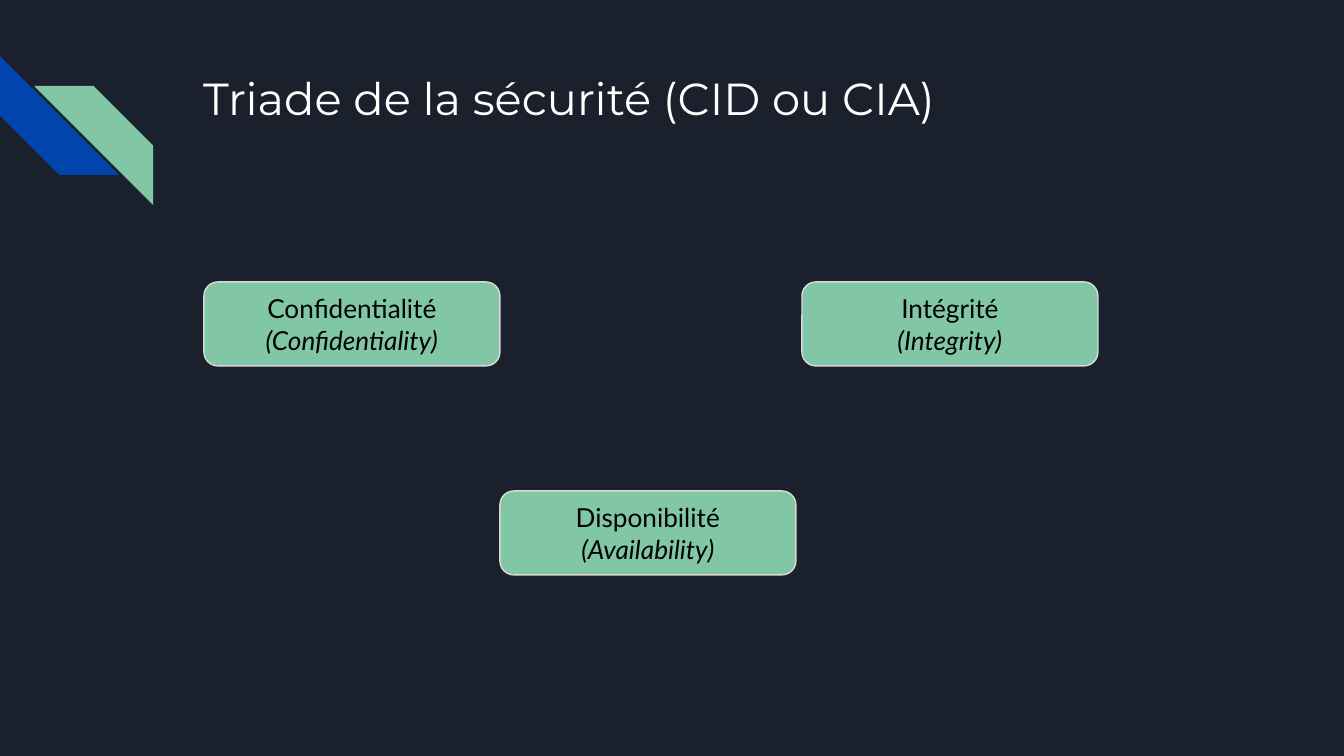
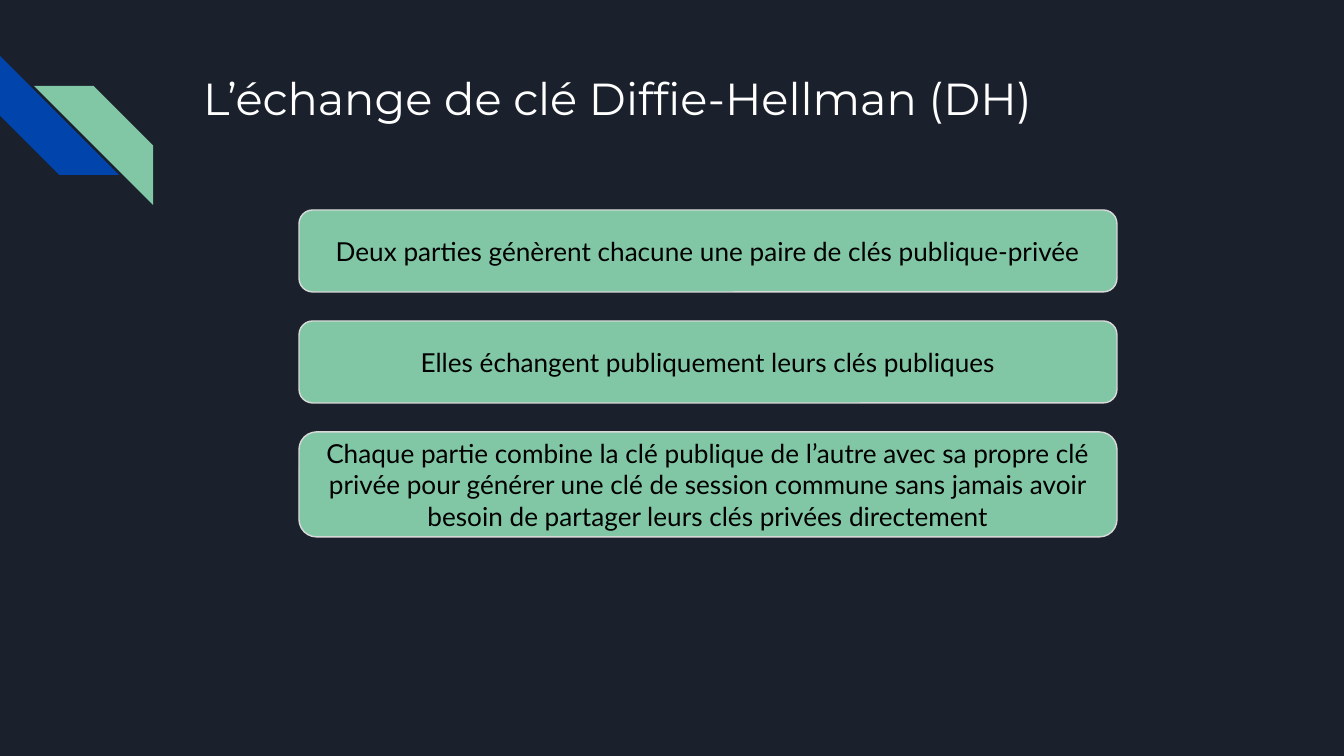
"""Two slides on the security triad and the Diffie-Hellman key exchange."""
from pptx import Presentation
from pptx.dml.color import RGBColor
from pptx.enum.shapes import MSO_SHAPE
from pptx.enum.text import MSO_ANCHOR, MSO_AUTO_SIZE, PP_ALIGN
from pptx.util import Emu, Pt

ROUND, STRIPE = MSO_SHAPE.ROUNDED_RECTANGLE, MSO_SHAPE.DIAGONAL_STRIPE
TOP, MIDDLE = MSO_ANCHOR.TOP, MSO_ANCHOR.MIDDLE
LEFT, CENTER = PP_ALIGN.LEFT, PP_ALIGN.CENTER
FIXED = MSO_AUTO_SIZE.NONE

NAVY = RGBColor(0x1B, 0x21, 0x2C)
BLUE = RGBColor(0x01, 0x45, 0xAC)
GREEN = RGBColor(0x82, 0xC7, 0xA5)
GRAY = RGBColor(0xD9, 0xD9, 0xD9)
WHITE = RGBColor(0xFF, 0xFF, 0xFF)
BLACK = RGBColor(0x00, 0x00, 0x00)

WIDTH, HEIGHT = 1344, 756
INSET = 13
TITLE = (190, 58, 1035, 134)
STRIPES = [(0, 56, 270, BLUE), (34, 86, 90, GREEN)]
TRIAD = [
    (0, 0, "Confidentialité", "(Confidentiality)"),
    (598, 0, "Intégrité", "(Integrity)"),
    (296, 209, "Disponibilité", "(Availability)"),
]
STEPS = [
    (82, "Deux parties génèrent chacune une paire de clés publique-privée"),
    (82, "Elles échangent publiquement leurs clés publiques"),
    (105, "Chaque partie combine la clé publique de l’autre avec sa propre clé "
          "privée pour générer une clé de session commune sans jamais avoir "
          "besoin de partager leurs clés privées directement"),
]


def px(count):
    """Turn pixels into EMU."""
    return Emu(round(count * 914400 / 134.4))


def set_text(shape, lines, font, size, color, align, anchor):
    """Fill a shape with paragraphs in one style."""
    frame = shape.text_frame
    frame.text = "\n".join(lines)
    frame.word_wrap = True
    frame.auto_size = FIXED
    frame.vertical_anchor = anchor
    frame.margin_left = frame.margin_right = px(INSET)
    frame.margin_top = frame.margin_bottom = px(INSET)
    for para in frame.paragraphs:
        para.alignment = align
        para.font.name, para.font.size = font, Pt(size)
        para.font.color.rgb = color


def add_form(slide, kind, box, fill):
    """Add a flat filled shape without an outline."""
    shape = slide.shapes.add_shape(kind, *map(px, box))
    shape.shadow.inherit = False
    shape.fill.solid()
    shape.fill.fore_color.rgb = fill
    shape.line.fill.background()
    return shape


def add_card(slide, box, *lines):
    """Add a rounded card whose second line, if any, is italic."""
    card = add_form(slide, ROUND, box, GREEN)
    card.line.color.rgb = GRAY
    card.line.width = Pt(0.75)
    set_text(card, lines, "Lato", 14, BLACK, CENTER, MIDDLE)
    for para in card.text_frame.paragraphs[1:]:
        para.font.italic = True


def add_page(prs, text):
    """Add a slide with its title and corner stripes."""
    slide = prs.slides.add_slide(prs.slide_layouts[5])
    for left, top, turn, color in STRIPES:
        add_form(slide, STRIPE, (left, top, 119, 119), color).rotation = turn
    title = slide.shapes.title
    title.left, title.top, title.width, title.height = map(px, TITLE)
    set_text(title, [text], "Montserrat", 24, WHITE, LEFT, TOP)
    return slide


def add_triad(slide, left, top):
    """Place the three goals as a downward triangle."""
    for dx, dy, name, term in TRIAD:
        add_card(slide, (left + dx, top + dy, 296, 84), name, term)


def add_steps(slide, left, top, width, gap):
    """Stack the steps of the exchange with equal gaps."""
    for height, text in STEPS:
        add_card(slide, (left, top, width, height), text)
        top += height + gap


def main():
    """Build and save the slides."""
    prs = Presentation()
    prs.slide_width, prs.slide_height = px(WIDTH), px(HEIGHT)
    back = prs.slide_master.background.fill
    back.solid()
    back.fore_color.rgb = NAVY
    add_triad(add_page(prs, "Triade de la sécurité (CID ou CIA)"), 204, 282)
    add_steps(add_page(prs, "L’échange de clé Diffie-Hellman (DH)"),
              299, 210, 818, 29)
    prs.save("out.pptx")


if __name__ == "__main__":
    main()
